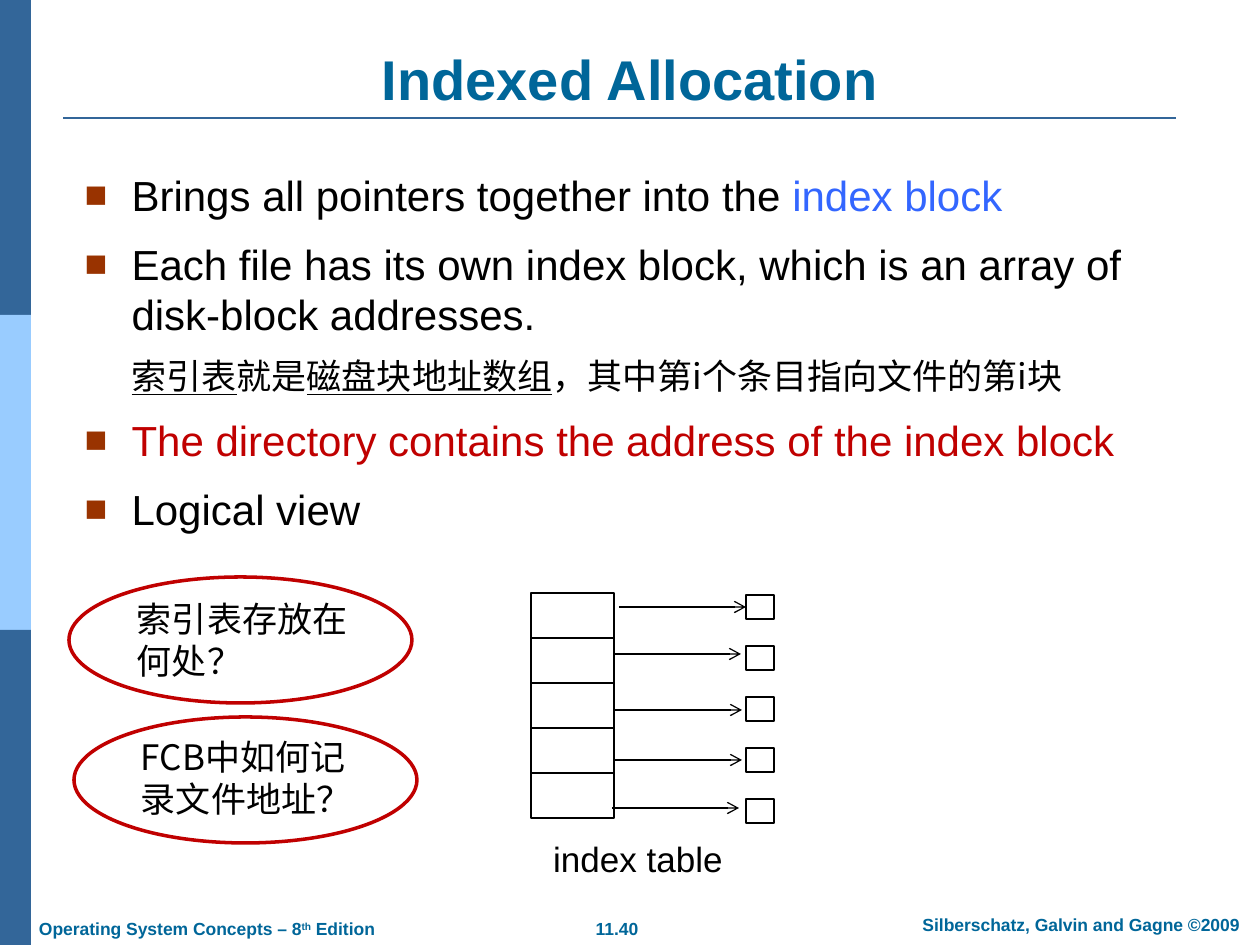
from typing import NamedTuple

from lxml import etree
from pptx import Presentation
from pptx.dml.color import RGBColor
from pptx.enum.shapes import MSO_CONNECTOR, MSO_SHAPE
from pptx.enum.text import MSO_ANCHOR, MSO_AUTO_SIZE, PP_ALIGN
from pptx.oxml.ns import qn
from pptx.util import Emu, Pt

RECTANGLE, ELLIPSE = MSO_SHAPE.RECTANGLE, MSO_SHAPE.OVAL
STRAIGHT = MSO_CONNECTOR.STRAIGHT
LEFT, CENTER = PP_ALIGN.LEFT, PP_ALIGN.CENTER
TOP, MIDDLE, BOTTOM = MSO_ANCHOR.TOP, MSO_ANCHOR.MIDDLE, MSO_ANCHOR.BOTTOM
NO_AUTOFIT = MSO_AUTO_SIZE.NONE

EMU_PER_PX = 914400 / 126
ARIAL, NOTO = "Arial", "Noto Sans CJK SC"
NAVY, SKY, TEAL, BLUE = "336699", "99CCFF", "006699", "3366FF"
RUST, RED, BLACK, WHITE = "993300", "C00000", "000000", "FFFFFF"
LINE_FACTOR = 1.2
BODY_INDENT = 47


class Box(NamedTuple):
    left: int
    top: int
    width: int
    height: int


class Span(NamedTuple):
    text: str
    color: str = BLACK
    underline: bool = False
    raised: bool = False


class Item(NamedTuple):
    spans: list[Span]
    size: int = 24
    font: str = ARIAL
    bullet: bool = True
    space_before: float = 10.5


class Question(NamedTuple):
    text: str
    text_box: Box
    ellipse: Box


def px(length: int) -> Emu:
    return Emu(round(length * EMU_PER_PX))


def color(value: str) -> RGBColor:
    return RGBColor.from_string(value)


def place(shape, box: Box) -> None:
    shape.left, shape.top, shape.width, shape.height = map(px, box)


def write(paragraph, spans: list[Span], *, size: int, font: str = ARIAL,
          bold: bool = False, align=LEFT, space_before: float = 0) -> None:
    paragraph.alignment = align
    paragraph.line_spacing = Pt(size * LINE_FACTOR)
    paragraph.space_before = Pt(space_before)
    for span in spans:
        run = paragraph.add_run()
        run.text = span.text
        run.font.size, run.font.name, run.font.bold = Pt(size), font, bold
        run.font.color.rgb = color(span.color)
        if span.underline:
            run.font.underline = True
        properties = run.font._element
        if span.raised:
            properties.set("baseline", "30000")
        east_asian = etree.Element(qn("a:ea"), typeface=font)
        properties.find(qn("a:latin")).addnext(east_asian)


def set_bullet(paragraph, shown: bool) -> None:
    properties = paragraph._p.get_or_add_pPr()
    properties.set("marL", str(px(BODY_INDENT)))
    properties.set("indent", str(-px(BODY_INDENT) if shown else 0))
    if not shown:
        etree.SubElement(properties, qn("a:buNone"))
        return
    bullet_color = etree.SubElement(properties, qn("a:buClr"))
    etree.SubElement(bullet_color, qn("a:srgbClr"), val=RUST)
    etree.SubElement(properties, qn("a:buSzPct"), val="90000")
    etree.SubElement(properties, qn("a:buFont"), typeface=ARIAL)
    etree.SubElement(properties, qn("a:buChar"), char="■")


def add_text(slide, box: Box, spans: list[Span], *, anchor=TOP,
             left_inset: int = 13, **text_format) -> None:
    shape = slide.shapes.add_textbox(*map(px, box))
    frame = shape.text_frame
    frame.word_wrap, frame.vertical_anchor = True, anchor
    frame.margin_left, frame.margin_right = px(left_inset), 0
    write(frame.paragraphs[0], spans, **text_format)


def add_shape(slide, kind, box: Box, fill: str | None = None,
              line: str | None = None, line_width: float = 0.75) -> None:
    shape = slide.shapes.add_shape(kind, *map(px, box))
    shape.shadow.inherit = False
    if fill:
        shape.fill.solid()
        shape.fill.fore_color.rgb = color(fill)
    else:
        shape.fill.background()
    if line:
        shape.line.color.rgb = color(line)
        shape.line.width = Pt(line_width)
    else:
        shape.line.fill.background()


def add_line(slide, left: int, top: int, length: int, line: str,
             width: float, arrow: bool = False) -> None:
    connector = slide.shapes.add_connector(
        STRAIGHT, px(left), px(top), px(left + length), px(top))
    connector.line.color.rgb = color(line)
    connector.line.width = Pt(width)
    if arrow:
        etree.SubElement(connector.line._get_or_add_ln(), qn("a:tailEnd"), type="arrow")
    etree.SubElement(connector._element.spPr, qn("a:effectLst"))


BODY_ITEMS = [
    Item([Span("Brings all pointers together into the "), Span("index block", BLUE)]),
    Item([Span("Each file has its own index block, which is an array of "
               "disk-block addresses.")]),
    Item([Span("索引表", underline=True), Span("就是"),
          Span("磁盘块地址数组", underline=True),
          Span("，其中第i个条目指向文件的第i块")],
         size=20, font=NOTO, bullet=False, space_before=8.8),
    Item([Span("The directory contains the address of the index block", RED)]),
    Item([Span("Logical view")]),
]
QUESTIONS = [
    Question("FCB中如何记录文件地址？", Box(65, 729, 300, 97), Box(74, 717, 343, 126)),
    Question("索引表存放在何处？", Box(61, 591, 300, 97), Box(69, 577, 343, 126)),
]
ARROW_STARTS = [(619, 607), (614, 654), (615, 710), (615, 760), (612, 808)]


def main() -> None:
    presentation = Presentation()
    presentation.slide_width, presentation.slide_height = px(1260), px(945)
    slide = presentation.slides.add_slide(presentation.slide_layouts[1])

    # Side bands and title rule
    for index, fill in enumerate((NAVY, SKY, NAVY)):
        add_shape(slide, RECTANGLE, Box(0, 315 * index, 31, 315), fill)
    add_line(slide, 63, 118, 1113, NAVY, 1.5)

    # Footer
    footer = {"size": 10, "bold": True}
    centered = {"align": CENTER, "left_inset": 0}
    add_text(slide, Box(547, 912, 140, 33), [Span("11.40", TEAL)], **centered, **footer)
    add_text(slide, Box(902, 908, 358, 34),
             [Span("Silberschatz, Galvin and Gagne ©2009", TEAL)], **centered, **footer)
    add_text(slide, Box(26, 912, 460, 33),
             [Span("Operating System Concepts – 8", TEAL),
              Span("th", TEAL, raised=True), Span(" Edition", TEAL)], **footer)

    # Title
    title = slide.shapes.title
    place(title, Box(63, 39, 1134, 79))
    title.text_frame.auto_size = NO_AUTOFIT
    title.text_frame.vertical_anchor = BOTTOM
    write(title.text_frame.paragraphs[0], [Span("Indexed Allocation", TEAL)],
          size=32, bold=True, align=CENTER)

    # Bulleted list
    body = slide.placeholders[1]
    place(body, Box(72, 163, 1134, 382))
    frame = body.text_frame
    frame.auto_size = NO_AUTOFIT
    for index, item in enumerate(BODY_ITEMS):
        paragraph = frame.add_paragraph() if index else frame.paragraphs[0]
        set_bullet(paragraph, item.bullet)
        write(paragraph, item.spans, size=item.size, font=item.font,
              space_before=item.space_before if index else 0)

    # Index table, data blocks and pointers
    for index, (left, top) in enumerate(ARROW_STARTS):
        add_shape(slide, RECTANGLE, Box(531, 593 + 45 * index, 83, 45), WHITE, BLACK)
        add_shape(slide, RECTANGLE, Box(746, 595 + 51 * index, 28, 24), WHITE, BLACK)
        add_line(slide, left, top, 127, BLACK, 0.75, arrow=True)
    add_text(slide, Box(508, 831, 260, 55), [Span("index table")],
             anchor=MIDDLE, size=20, **centered)

    # Circled questions
    for question in QUESTIONS:
        add_text(slide, question.text_box, [Span(question.text)],
                 left_inset=76, size=20, font=NOTO)
        add_shape(slide, ELLIPSE, question.ellipse, line=RED, line_width=2)

    presentation.save("out.pptx")


if __name__ == "__main__":
    main()
